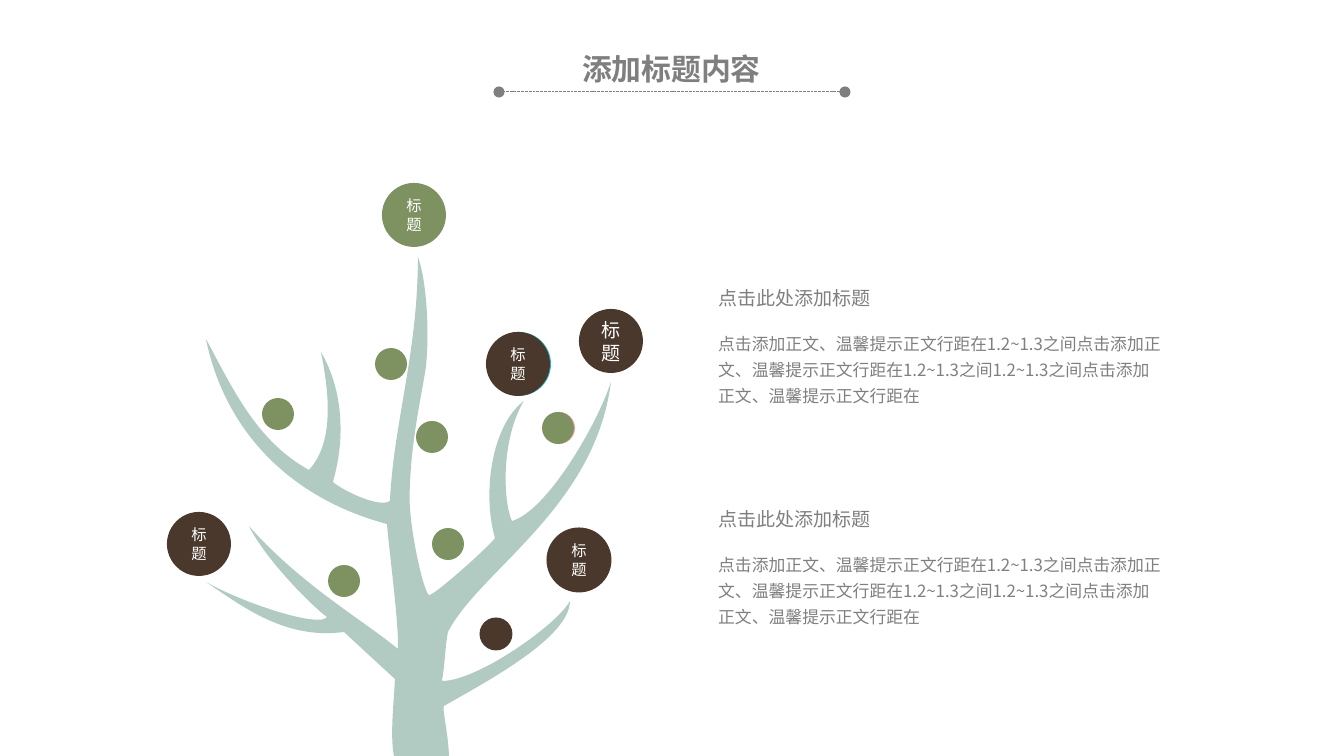
from lxml import etree
from pptx import Presentation
from pptx.dml.color import RGBColor
from pptx.enum.dml import MSO_LINE
from pptx.enum.shapes import MSO_CONNECTOR, MSO_SHAPE
from pptx.enum.text import MSO_ANCHOR, MSO_AUTO_SIZE, PP_ALIGN
from pptx.oxml.ns import qn
from pptx.util import Pt

PX = 914400 / 134.4
FONT = "Noto Sans CJK SC"
GRAY, WHITE = "7F7F7F", "FFFFFF"
BROWN, GREEN, SAGE = "4A382C", "7E9161", "B1CBC2"
TEAL, PINK = "19B4C9", "F29C9F"
BIG, SMALL = 64, 32

TREE_START = (394, 756)
# Two control points and an end point per curve; a lone point is a straight edge.
TREE = [
    [(390, 734), (394, 704), (395, 679)],
    [(344, 632)],
    [(285, 640), (242, 606), (206, 582)],
    [(247, 605), (321, 628), (327, 617)],
    [(312, 606), (266, 560), (249, 526)],
    [(301, 585), (366, 622), (398, 649)],
    [(399, 625), (391, 566), (387, 524)],
    [(286, 497), (224, 427), (206, 339)],
    [(234, 391), (257, 441), (309, 470)],
    [(335, 442), (329, 391), (321, 352)],
    [(341, 386), (347, 433), (333, 482)],
    [(345, 492), (380, 508), (390, 501)],
    [(394, 421), (418, 353), (418, 257)],
    [(426, 278), (430, 328), (426, 367)],
    [(423, 388), (411, 441), (410, 487)],
    [(407, 519), (423, 591), (429, 595)],
    [(433, 597), (493, 543), (495, 538)],
    [(482, 492), (492, 425), (524, 401)],
    [(501, 439), (503, 501), (512, 521)],
    [(547, 511), (597, 425), (611, 382)],
    [(595, 508), (480, 570), (448, 632)],
    [(445, 649), (445, 665), (442, 681)],
    [(478, 681), (558, 624), (570, 601)],
    [(570, 638), (484, 683), (444, 706)],
    [(442, 707), (449, 739), (449, 756)],
]

# left, top, diameter, colour, label size in points (0 for no label), outlined
FRUIT = [
    (167, 512, BIG, BROWN, 8.2, False),
    (416, 421, SMALL, GREEN, 0, False),
    (543, 412, SMALL, PINK, 0, False),
    (375, 348, SMALL, GREEN, 0, False),
    (262, 398, SMALL, GREEN, 0, False),
    (328, 565, SMALL, GREEN, 0, False),
    (432, 528, SMALL, GREEN, 0, False),
    (480, 618, SMALL, BROWN, 0, True),
    (382, 183, BIG, GREEN, 8.2, False),
    (547, 528, BIG, BROWN, 8.2, True),
    (487, 332, BIG, TEAL, 0, False),
    (579, 309, BIG, BROWN, 10.2, False),
    (542, 412, SMALL, GREEN, 0, False),
    (486, 332, BIG, BROWN, 8.2, False),
]

HEADING = "点击此处添加标题"
BODY = ("点击添加正文、温馨提示正文行距在1.2~1.3之间点击添加正文、"
        "温馨提示正文行距在1.2~1.3之间1.2~1.3之间点击添加正文、温馨提示正文行距在")


def px(*values):
    return [round(v * PX) for v in values]


def rgb(value):
    return RGBColor.from_string(value)


def apply(target, **formats):
    for name, value in formats.items():
        setattr(target, name, value)


def write(tf, text, size, color, bold=False, **paragraph):
    p = tf.paragraphs[0]
    apply(p, **paragraph)
    r = p.add_run()
    r.text = text
    apply(r.font, name=FONT, size=Pt(size), bold=bold)
    r.font.color.rgb = rgb(color)
    etree.SubElement(r.font._element, qn("a:ea"), typeface=FONT)


def paint(sp, color, outlined=False):
    sp.shadow.inherit = False
    sp.fill.solid()
    sp.fill.fore_color.rgb = rgb(color)
    if outlined:
        sp.line.color.rgb = rgb(color)
        sp.line.width = Pt(0.5)
    else:
        sp.line.fill.background()


def add_tree(s):
    """Lay out the corners as a freeform, then bend its edges into curves."""
    corners = [TREE_START] + [part[-1] for part in TREE]
    left, top = (min(axis) for axis in zip(*corners))
    builder = s.shapes.build_freeform(*TREE_START, scale=PX)
    builder.add_line_segments(corners[1:], close=True)
    tree = builder.convert_to_shape()
    paint(tree, SAGE)
    edges = list(tree._element.iter(qn("a:lnTo")))
    for edge, part in zip(edges, TREE):
        if len(part) == 3:
            edge.tag = qn("a:cubicBezTo")
            for i, (x, y) in enumerate(part[:2]):
                pt = etree.Element(qn("a:pt"), x=str(x - left), y=str(y - top))
                edge.insert(i, pt)


def add_fruit(s, left, top, size, color, label_size, outlined):
    sp = s.shapes.add_shape(MSO_SHAPE.OVAL, *px(left, top, size, size))
    paint(sp, color, outlined)
    if label_size:
        apply(sp.text_frame, word_wrap=True, vertical_anchor=MSO_ANCHOR.MIDDLE)
        write(sp.text_frame, "标题", label_size, WHITE, alignment=PP_ALIGN.CENTER)


def add_text(s, box, text, size, wrap, **paragraph):
    tf = s.shapes.add_textbox(*px(*box)).text_frame
    apply(tf, word_wrap=wrap, auto_size=MSO_AUTO_SIZE.SHAPE_TO_FIT_TEXT)
    write(tf, text, size, GRAY, **paragraph)


def add_title(s, text):
    title = s.shapes.title
    left, top, width, height = px(548, 46, 247, 46)
    apply(title, left=left, top=top, width=width, height=height)
    side, edge = px(9, 5)
    apply(title.text_frame, margin_left=side, margin_right=side,
          margin_top=edge, margin_bottom=edge, word_wrap=True,
          auto_size=MSO_AUTO_SIZE.NONE, vertical_anchor=MSO_ANCHOR.MIDDLE)
    write(title.text_frame, text, 16, GRAY, bold=True, alignment=PP_ALIGN.CENTER)


def add_title_rule(s):
    rule = s.shapes.add_connector(MSO_CONNECTOR.STRAIGHT, *px(845, 92, 499, 92))
    apply(rule.line, width=Pt(0.5), dash_style=MSO_LINE.SQUARE_DOT)
    rule.line.color.rgb = rgb(GRAY)
    ln = rule.line._get_or_add_ln()
    for end in ("a:headEnd", "a:tailEnd"):
        etree.SubElement(ln, qn(end), type="oval")
    etree.SubElement(rule._element.spPr, qn("a:effectLst"))


def main():
    prs = Presentation()
    prs.slide_width, prs.slide_height = px(1344, 756)
    s = prs.slides.add_slide(prs.slide_layouts[5])
    add_title(s, "添加标题内容")
    add_title_rule(s)
    add_tree(s)
    for fruit in FRUIT:
        add_fruit(s, *fruit)
    for top in (280, 501):
        add_text(s, (705, top, 180, 36), HEADING, 10.2, False)
        add_text(s, (705, top + 41, 472, 93), BODY, 9, True, line_spacing=1.3)
    prs.save("out.pptx")


if __name__ == "__main__":
    main()
